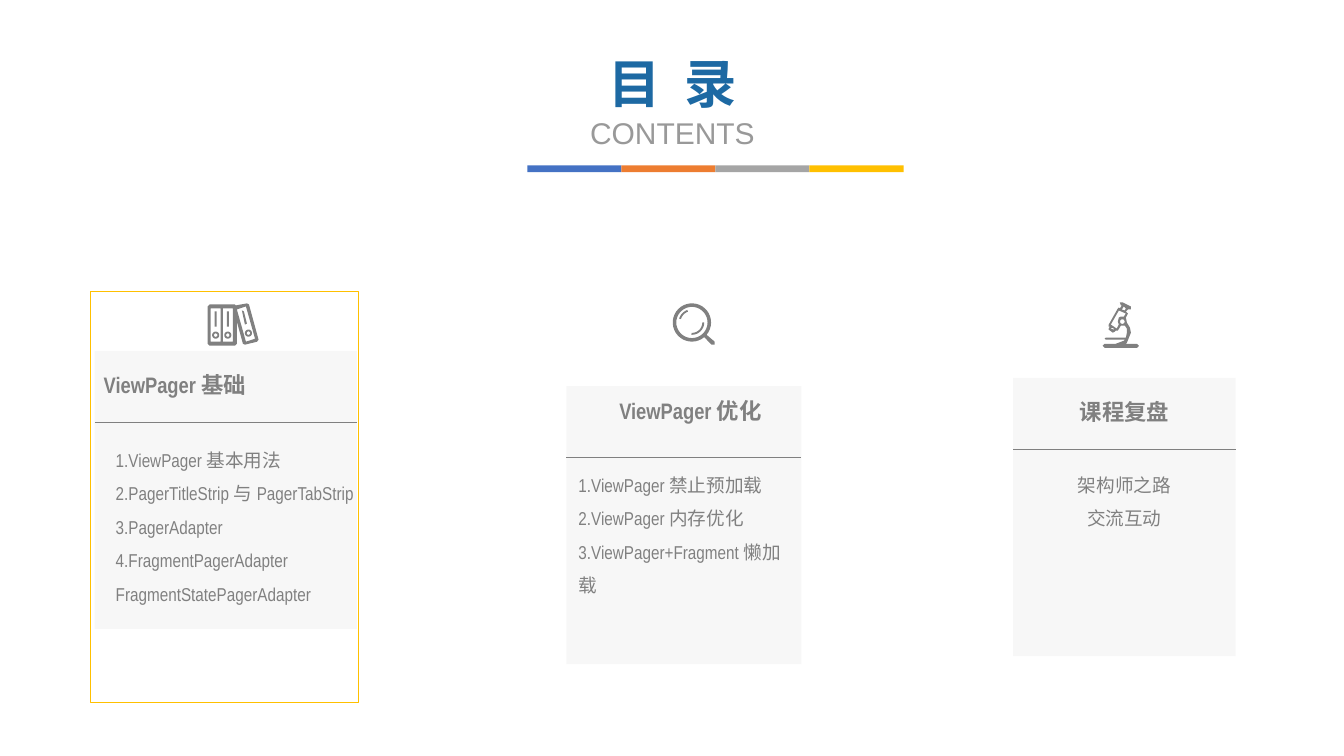
from math import cos, radians, sin

from lxml import etree
from pptx import Presentation
from pptx.dml.color import RGBColor
from pptx.enum.shapes import MSO_CONNECTOR, MSO_SHAPE
from pptx.enum.text import MSO_ANCHOR, MSO_AUTO_SIZE, PP_ALIGN
from pptx.oxml.ns import qn
from pptx.util import Pt

RECT, STRAIGHT = MSO_SHAPE.RECTANGLE, MSO_CONNECTOR.STRAIGHT
TOP, NO_FIT = MSO_ANCHOR.TOP, MSO_AUTO_SIZE.NONE
LEFT, CENTER = PP_ALIGN.LEFT, PP_ALIGN.CENTER

BLUE = RGBColor(0x1D, 0x69, 0xA3)
SUBTITLE_GRAY = RGBColor(0x99, 0x99, 0x99)
GRAY = RGBColor(0x80, 0x80, 0x80)
PANEL_GRAY = RGBColor(0xD9, 0xD9, 0xD9)
GOLD = RGBColor(0xFF, 0xC0, 0x00)
BAR_COLORS = [RGBColor(0x44, 0x72, 0xC4), RGBColor(0xED, 0x7D, 0x31),
              RGBColor(0xA5, 0xA5, 0xA5), GOLD]


# Outline helpers for the icons, in hundredths of an inch
def arc(cx, cy, radius, start=0, end=360, steps=36):
    angles = [radians(start + (end - start) * i / steps) for i in range(steps + 1)]
    return [(cx + radius * cos(a), cy + radius * sin(a)) for a in angles]


def block(x1, y1, x2, y2):
    return [(x1, y1), (x2, y1), (x2, y2), (x1, y2)]


def band(cx, cy, inner, outer, start, end):
    return arc(cx, cy, outer, start, end) + arc(cx, cy, inner, end, start)


BINDERS = [
    [(41, 2), (39, 1), (28, 3), (27, 2), (2, 2), (0, 4), (0, 41), (2, 43), (27, 43),
     (29, 41), (29, 19), (35, 41), (37, 42), (49, 39), (50.5, 37)],
    block(3, 6, 13, 39), block(15, 6, 25, 39),
    [(38, 39), (29, 7), (38, 4), (47, 36)],
    block(7, 9, 9, 24), block(19, 9, 21, 24),
    [(34, 8), (36, 9), (39, 21), (37, 22)],
] + [arc(x, y, r) for x, y in [(8, 32.5), (20, 32.5), (40.5, 30.5)] for r in (3.5, 1.7)]

MAGNIFIER = [
    arc(19.5, 19, 19, 50, 400) + [(42, 38), (42, 41), (39, 41)],
    arc(19.5, 19, 15.5),
    band(19.5, 19, 11.4, 13.2, 197, 250),
    band(19.5, 19, 10.3, 12.2, 0, 92),
]

MICROSCOPE = [
    [(24, 21), (27, 26), (28, 31), (24, 41), (23, 42), (34, 42), (36, 44), (34, 46),
     (2, 46), (0, 44), (2, 42), (13, 42), (21, 39), (22, 38), (3, 38), (2, 37), (3, 36),
     (23, 36), (24, 31), (24, 27), (22, 24), (18, 24), (15, 29), (13, 29), (12, 30),
     (10, 31), (6, 28), (6, 27), (7, 25), (6, 25), (6, 23), (15, 7), (16, 6), (17, 7),
     (19, 4), (18, 4), (17, 1), (20, 1), (28, 5), (28, 8), (25, 8), (23, 10), (25, 12),
     (23, 16)],
    [(23, 7), (21, 5), (19, 8), (22, 9)],
    [(21, 15), (23, 12), (16, 9), (8, 23), (14, 27), (16, 23), (15, 20), (16, 16), (18, 15)],
    arc(19.5, 20, 2.3),
    [(9, 26), (8, 27), (11, 28), (11, 27)],
]

# Content; every box is left, top, width, height in points
TITLE_LINES = [
    ("目 录", {"name": "Arial Narrow", "size": Pt(37.4), "bold": True}, BLUE),
    ("CONTENTS", {"name": "Arial", "size": Pt(21.4), "bold": False}, SUBTITLE_GRAY),
]
CARDS = [
    {"panel": (67.7, 250.6, 187.2), "icon": (148.3, 216, BINDERS),
     "heading": ("ViewPager基础", (67, 261.4, 194.4, 26.6), LEFT, True),
     "body": (["1.ViewPager基本用法", "2.PagerTitleStrip与PagerTabStrip", "3.PagerAdapter",
               "4.FragmentPagerAdapter FragmentStatePagerAdapter"],
              (75.6, 308.9, 189.4, 200), LEFT, True)},
    {"panel": (404.6, 275.8, 167.8), "icon": (480.2, 216.7, MAGNIFIER),
     "heading": ("ViewPager优化", (434.9, 280.1, 116.6, 26.6), CENTER, False),
     "body": (["1.ViewPager禁止预加载", "2.ViewPager内存优化", "3.ViewPager+Fragment懒加载"],
              (406.1, 326.9, 162.7, 128.9), LEFT, True)},
    {"panel": (723.6, 270, 159.1), "icon": (787.7, 215.3, MICROSCOPE),
     "heading": ("课程复盘", (763.9, 280.8, 78.5, 26.6), CENTER, False),
     "body": (["架构师之路", "交流互动"], (762.5, 326.9, 81.4, 56.2), CENTER, False)},
]
PANEL_HEIGHT, DIVIDER_DROP = 198.7, 50.8
BAR_LEFT, BAR_TOP, BAR_WIDTH, BAR_HEIGHT = 376.6, 118.1, 67.2, 5
HIGHLIGHT = (64.8, 208.1, 191.5, 293.8)
HEADING_FONT = {"name": "Arial Narrow", "size": Pt(16), "bold": True}
BODY_FONT = {"name": "Arial Narrow", "size": Pt(13.3)}

deck = Presentation()
deck.slide_width, deck.slide_height = Pt(960), Pt(540)
page = deck.slides.add_slide(deck.slide_layouts[5])


def points(*lengths):
    return [Pt(length) for length in lengths]


def write(box, lines, align, wrap=True, spacing=1.0):
    frame = box.text_frame
    for key, value in {"word_wrap": wrap, "auto_size": NO_FIT, "vertical_anchor": TOP}.items():
        setattr(frame, key, value)
    for i, (text, font, color) in enumerate(lines):
        para = frame.add_paragraph() if i else frame.paragraphs[0]
        para.alignment, para.line_spacing = align, spacing
        span = para.add_run()
        span.text = text
        for key, value in font.items():
            setattr(span.font, key, value)
        span.font.color.rgb = color


def paint(shape, fill=None, line=None):
    shape.shadow.inherit = False
    if fill is None:
        shape.fill.background()
    else:
        shape.fill.solid()
        shape.fill.fore_color.rgb = fill
    if line is None:
        shape.line.fill.background()
    else:
        shape.line.color.rgb, shape.line.width = line, Pt(1)


def add_rect(box, fill=None, line=None):
    shape = page.shapes.add_shape(RECT, *points(*box))
    paint(shape, fill, line)
    return shape


def add_icon(left, top, contours):
    # Inner contours cut holes in the outer one
    grid = 100
    outlines = [[(x * grid, y * grid) for x, y in contour] for contour in contours]
    builder = page.shapes.build_freeform(*outlines[0][0], scale=Pt(0.72) / grid)
    for i, outline in enumerate(outlines):
        if i:
            builder.move_to(*outline[0])
        builder.add_line_segments(outline[1:], close=True)
    paint(builder.convert_to_shape(*points(left, top)), GRAY)


def add_panel(left, top, width):
    panel = add_rect((left, top, width, PANEL_HEIGHT), PANEL_GRAY)
    color = panel._element.spPr.find(qn("a:solidFill"))[0]
    etree.SubElement(color, qn("a:alpha"), val="20000")
    y = top + DIVIDER_DROP
    divider = page.shapes.add_connector(STRAIGHT, *points(left, y, left + width, y))
    divider.line.color.rgb, divider.line.width = GRAY, Pt(0.5)
    etree.SubElement(divider._element.spPr, qn("a:effectLst"))


# Title, with widened letter spacing on its first line
title = page.shapes.title
title.left, title.top, title.width, title.height = points(402.5, 33.1, 155.5, 78.5)
write(title, TITLE_LINES, CENTER)
title.text_frame.paragraphs[0].runs[0]._r.get_or_add_rPr().set("spc", "425")

# Four-colour rule under the title
for i, color in enumerate(BAR_COLORS):
    add_rect((BAR_LEFT + i * BAR_WIDTH, BAR_TOP, BAR_WIDTH, BAR_HEIGHT), color)

# Chapter cards
for card in CARDS:
    add_panel(*card["panel"])
    add_icon(*card["icon"])
    heading, box, align, wrap = card["heading"]
    write(page.shapes.add_textbox(*points(*box)), [(heading, HEADING_FONT, GRAY)], align, wrap)
    items, box, align, wrap = card["body"]
    write(page.shapes.add_textbox(*points(*box)),
          [(item, BODY_FONT, GRAY) for item in items], align, wrap, 1.5)

# Frame around the current chapter
add_rect(HIGHLIGHT, line=GOLD)

deck.save("out.pptx")
